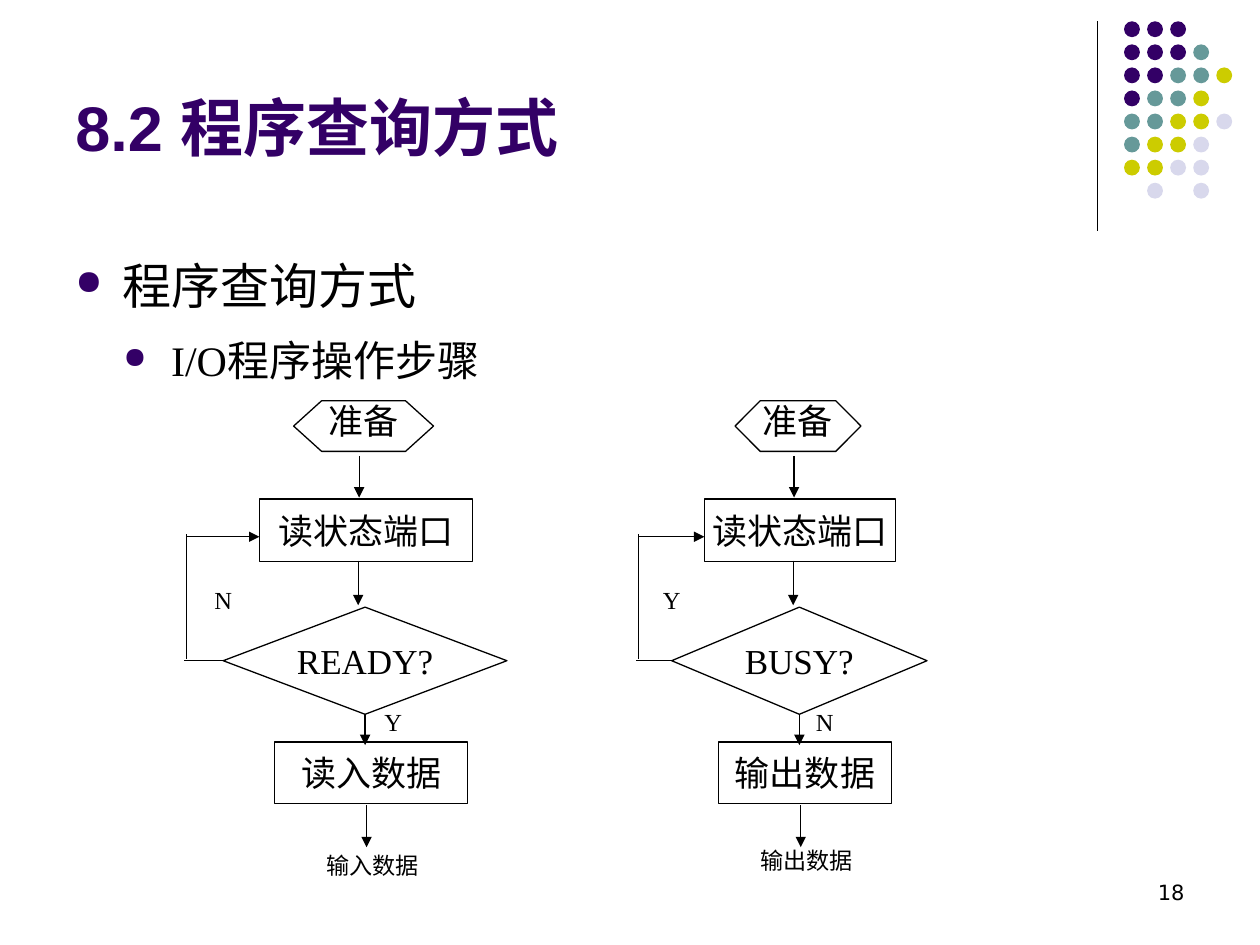
from dataclasses import dataclass

from lxml.etree import SubElement
from pptx import Presentation
from pptx.dml.color import RGBColor
from pptx.enum.shapes import MSO_CONNECTOR as Connector, MSO_SHAPE as Shape
from pptx.enum.text import MSO_ANCHOR as Anchor, PP_ALIGN as Align
from pptx.oxml.ns import qn
from pptx.util import Cm, Pt


@dataclass(frozen=True)
class Theme:
    purple: str = "330066"
    teal: str = "669999"
    yellow: str = "CCCC00"
    lavender: str = "D8D8EC"
    black: str = "000000"
    sans: str = "Arial"
    serif: str = "Times New Roman"
    chinese: str = "Noto Sans CJK SC"
    number: str = "DejaVu Sans"
    title_size: float = 36
    topic_size: float = 28
    subtopic_size: float = 24
    step_size: float = 20
    branch_size: float = 14
    caption_size: float = 13.2
    number_size: float = 12
    line_width: float = 0.75


THEME = Theme()
DOT_ROWS = ("PPP", "PPPT", "PPTTY", "PTTY", "TTYYL", "TYYL", "YYLL", " L L")
DOT_COLORS = {"P": THEME.purple, "T": THEME.teal, "Y": THEME.yellow, "L": THEME.lavender}
DOT_LEFT, DOT_TOP, DOT_PITCH, DOT_SIZE = 22.66, 0.43, 0.465, 0.32


def color(code):
    return RGBColor.from_string(code)


def style_paragraph(paragraph, text, font_name, size, text_color=THEME.black,
                    align=Align.LEFT, bold=False, spacing=1.0):
    paragraph.text = text
    paragraph.alignment = align
    paragraph.line_spacing = spacing
    font = paragraph.font
    font.name = font_name
    font.size = Pt(size)
    font.bold = bold
    font.color.rgb = color(text_color)


def set_frame(frame, anchor=Anchor.MIDDLE, side=0.0, edge=0.0):
    frame.word_wrap = True
    frame.vertical_anchor = anchor
    frame.margin_left = frame.margin_right = Cm(side)
    frame.margin_top = frame.margin_bottom = Cm(edge)


def add_text(slide, box, text, font_name, size, side=0.0, edge=0.0, **style):
    frame = slide.shapes.add_textbox(*map(Cm, box)).text_frame
    set_frame(frame, side=side, edge=edge)
    style_paragraph(frame.paragraphs[0], text, font_name, size, **style)


def add_step(slide, kind, box, text, font_name=THEME.chinese, edge=0.13, spacing=1.0):
    shape = slide.shapes.add_shape(kind, *map(Cm, box))
    shape.shadow.inherit = False
    shape.fill.background()
    shape.line.color.rgb = color(THEME.black)
    shape.line.width = Pt(THEME.line_width)
    set_frame(shape.text_frame, edge=edge)
    style_paragraph(shape.text_frame.paragraphs[0], text, font_name,
                    THEME.step_size, align=Align.CENTER, spacing=spacing)
    return shape


def add_line(slide, start, end, arrow=True):
    line = slide.shapes.add_connector(Connector.STRAIGHT, *map(Cm, start + end))
    line.line.color.rgb = color(THEME.black)
    line.line.width = Pt(THEME.line_width)
    if arrow:
        SubElement(line.line._get_or_add_ln(), qn("a:tailEnd"), type="triangle")
    SubElement(line._element.spPr, qn("a:effectLst"))
    return line


def add_bullet(paragraph, indent):
    properties = paragraph._p.get_or_add_pPr()
    properties.set("marL", str(Cm(indent)))
    properties.set("indent", str(Cm(-0.96)))
    bullet_color = SubElement(properties, qn("a:buClr"))
    SubElement(bullet_color, qn("a:srgbClr"), val=THEME.purple)
    SubElement(properties, qn("a:buSzPct"), val="70000")
    SubElement(properties, qn("a:buChar"), char="●")


def add_outline(slide):
    frame = slide.shapes.add_textbox(Cm(1.27), Cm(4.78), Cm(22.86), Cm(12.24)).text_frame
    set_frame(frame, Anchor.TOP, 0.25, 0.13)
    topic, subtopic = frame.paragraphs[0], frame.add_paragraph()
    subtopic.level = 1
    subtopic.space_before = Pt(6)
    add_bullet(topic, 0.96)
    add_bullet(subtopic, 1.93)
    style_paragraph(topic, "程序查询方式", THEME.sans, THEME.topic_size, spacing=1.2)
    style_paragraph(subtopic, "I/O程序操作步骤", THEME.serif, THEME.subtopic_size, spacing=1.2)


def add_decoration(slide):
    add_line(slide, (22.12, 0.43), (22.12, 4.65), arrow=False)
    for row, marks in enumerate(DOT_ROWS):
        for column, mark in enumerate(marks):
            if mark in DOT_COLORS:
                box = (DOT_LEFT + column * DOT_PITCH, DOT_TOP + row * DOT_PITCH,
                       DOT_SIZE, DOT_SIZE)
                dot = slide.shapes.add_shape(Shape.OVAL, *map(Cm, box))
                dot.shadow.inherit = False
                dot.fill.solid()
                dot.fill.fore_color.rgb = color(DOT_COLORS[mark])
                dot.line.fill.background()


def add_flow(slide, left, scale, question, repeat, proceed, transfer, caption, caption_top):
    def across(x):
        return left + x * scale

    def box(x, top, width, height):
        return across(x), top, width * scale, height

    def down(x, top, bottom):
        return add_line(slide, (across(x), top), (across(x), bottom))

    add_step(slide, Shape.FLOWCHART_PREPARATION, box(2.21, 8.08, 2.82, 1.02), "准备", spacing=0.7)
    add_step(slide, Shape.FLOWCHART_PROCESS, box(1.52, 10.06, 4.29, 1.26), "读状态端口")
    decision = add_step(slide, Shape.FLOWCHART_DECISION, box(0.79, 12.24, 5.72, 2.16),
                        question, THEME.serif, edge=0)
    add_step(slide, Shape.FLOWCHART_PROCESS, box(1.83, 14.96, 3.89, 1.24), transfer)

    down(3.53, 9.19, 10.03)
    down(3.51, 11.3, 12.2)
    down(3.65, 14.4, 15.02).begin_connect(decision, 2)
    down(3.68, 16.23, 17.08)

    exit_line = add_line(slide, (across(0.79), 13.32), (left, 13.32), arrow=False)
    exit_line.begin_connect(decision, 1)
    add_line(slide, (across(0.05), 13.28), (across(0.05), 10.77), arrow=False)
    add_line(slide, (across(0.05), 10.82), (across(1.52), 10.82))

    for text, x, top in ((proceed, 3.63, 14.3), (repeat, 0.2, 11.84)):
        add_text(slide, box(x, top, 1.18, 0.61), text, THEME.serif, THEME.branch_size,
                 align=Align.CENTER, spacing=0.8)
    add_text(slide, box(1.2, caption_top, 5.21, 0.81), caption, THEME.chinese,
             THEME.caption_size, side=0.25, edge=0.13, align=Align.CENTER, spacing=0.8)


def main():
    presentation = Presentation()
    presentation.slide_width, presentation.slide_height = Cm(25.4), Cm(19.05)
    slide = presentation.slides.add_slide(presentation.slide_layouts[6])
    add_decoration(slide)
    add_text(slide, (1.27, 0.74, 20.96, 3.61), "8.2 程序查询方式", THEME.sans,
             THEME.title_size, side=0.25, edge=0.13, text_color=THEME.purple, bold=True)
    add_outline(slide)
    add_text(slide, (18.21, 17.35, 5.92, 1.27), "18", THEME.number, THEME.number_size,
             side=0.25, edge=0.13, align=Align.RIGHT)
    add_flow(slide, 3.71, 1, "READY?", "N", "Y", "读入数据", "输入数据", 17.09)
    add_flow(slide, 12.83, 0.9, "BUSY?", "Y", "N", "输出数据", "输出数据", 16.99)
    presentation.save("out.pptx")


if __name__ == "__main__":
    main()
